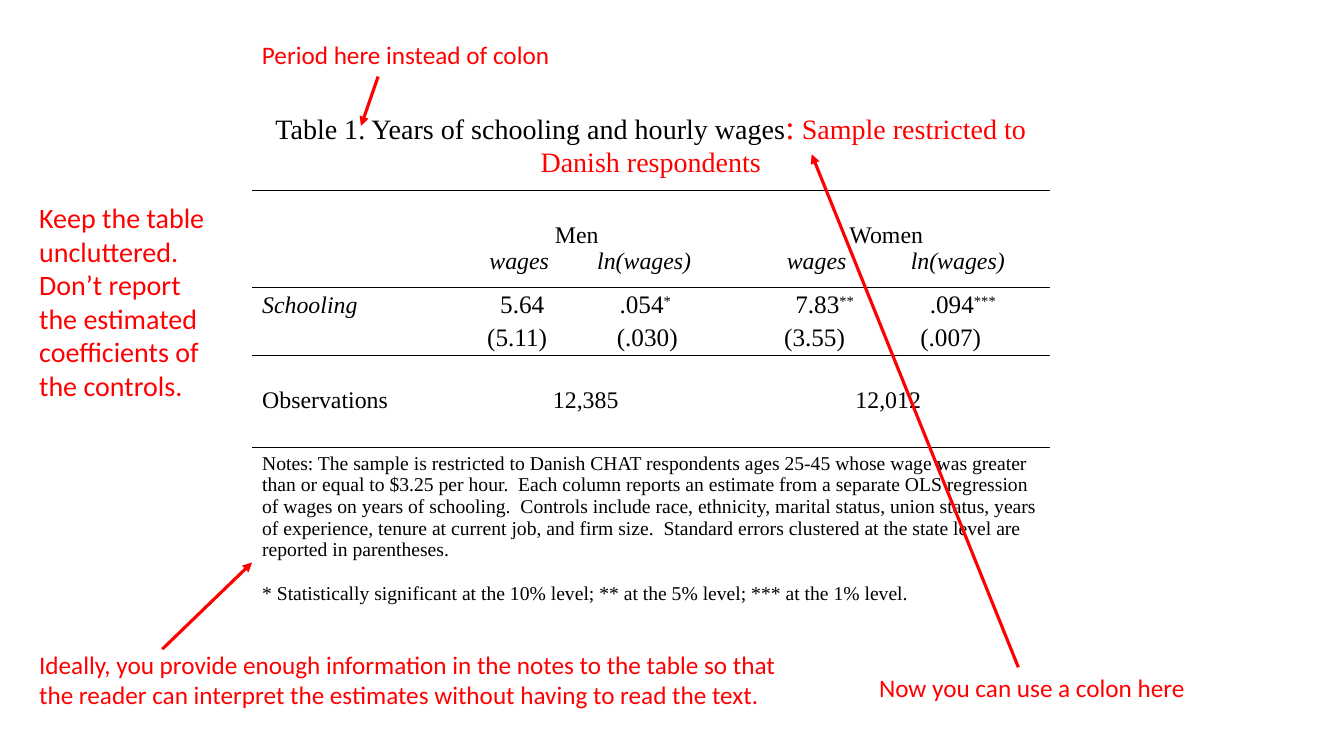
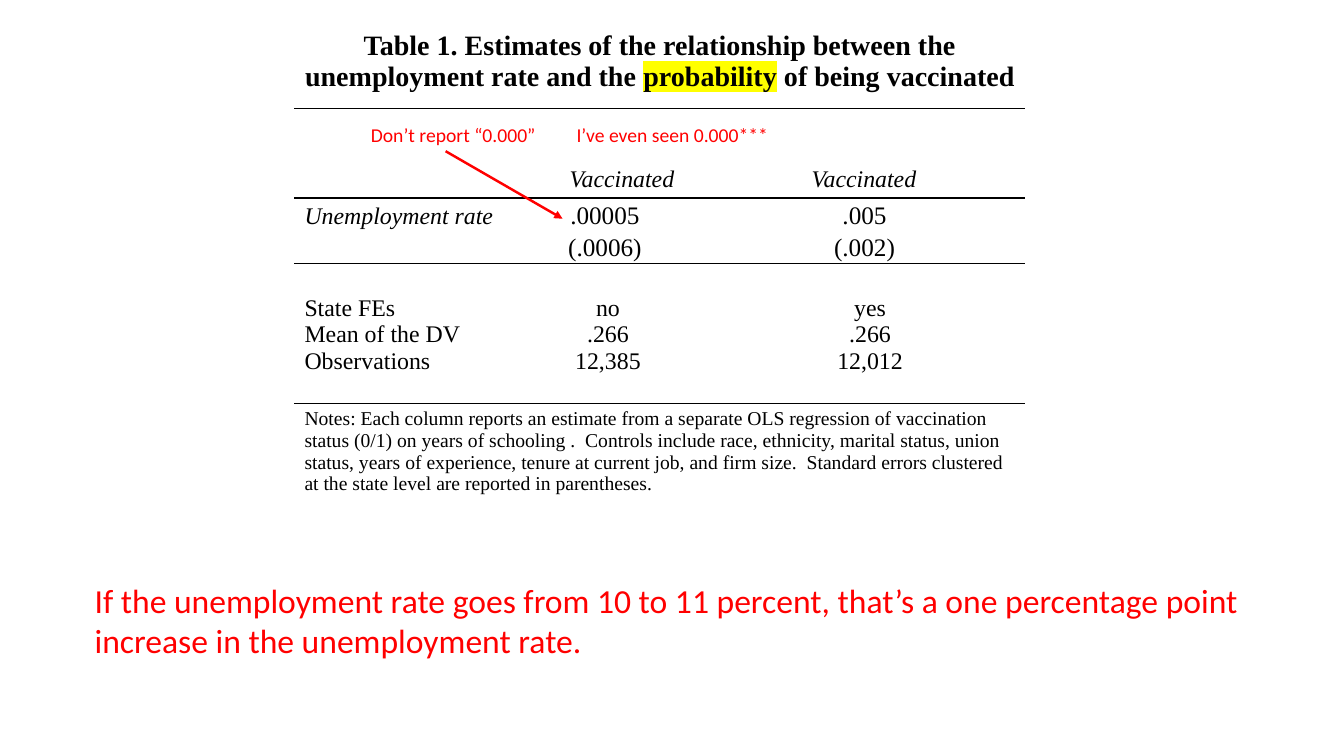
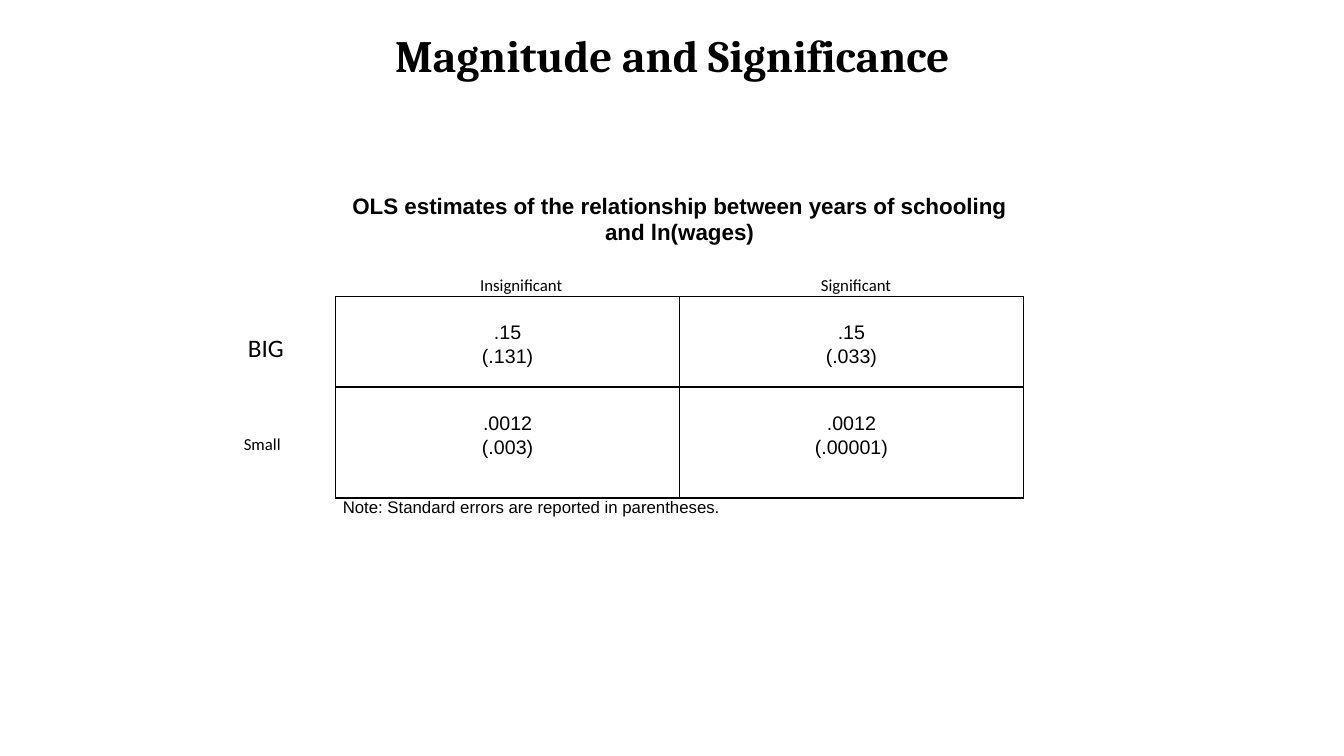
from lxml.etree import SubElement
from pptx import Presentation
from pptx.dml.color import RGBColor
from pptx.enum.shapes import MSO_CONNECTOR
from pptx.enum.text import PP_ALIGN
from pptx.oxml.ns import qn
from pptx.util import Emu, Pt

PX = 9144  # one hundred px to the inch
COLORS = {"ink": "000000", "remark": "FF0000", "paper": "FFFFFF", "marker": "FFFF00"}
ALIGN = {"left": PP_ALIGN.LEFT, "center": PP_ALIGN.CENTER, "justify": PP_ALIGN.JUSTIFY}
PLAIN_TABLE = "{2D5ABB26-0587-4C30-8999-92F81FD0307C}"
SERIF = {"font": "Times New Roman", "size": 17}
ITALIC = {"italic": True}
RAISED = {"raised": True}


def line_of(*spans, **layout):
    """One paragraph: spans are text or (text, style); layout is align, tabs, spacing, before."""
    return spans, layout


def cell_of(*lines, span=1, inset=(10, 5, 10, 5), **style):
    return {"lines": lines, "span": span, "inset": inset, "style": style}


class Deck:
    def __init__(self):
        self.deck = Presentation()
        self.deck.slide_width, self.deck.slide_height = Emu(1333 * PX), Emu(750 * PX)
        self.page = None

    def new_page(self):
        self.page = self.deck.slides.add_slide(self.deck.slide_layouts[6])

    # Text
    def add_span(self, para, text, font="Calibri", size=18, color="ink", bold=False,
                 italic=False, raised=False, marked=False):
        span = para.add_run()
        span.text = text
        span.font.name, span.font.size = font, Pt(size)
        span.font.bold, span.font.italic = bold, italic
        span.font.color.rgb = RGBColor.from_string(COLORS[color])
        props = span.font._element
        if raised:
            props.set("baseline", "30000")
        if marked:
            highlight = SubElement(props, qn("a:highlight"))
            SubElement(highlight, qn("a:srgbClr")).set("val", COLORS["marker"])
            props.find(qn("a:solidFill")).addnext(highlight)

    def fill_text(self, frame, lines, inset, style):
        frame.word_wrap = True
        frame.margin_left, frame.margin_top, frame.margin_right, frame.margin_bottom = (
            Emu(side * PX) for side in inset)
        for number, (spans, layout) in enumerate(lines):
            para = frame.add_paragraph() if number else frame.paragraphs[0]
            para.alignment = ALIGN[layout.get("align", "left")]
            para.line_spacing = layout.get("spacing", 1.0)
            para.space_before = Pt(layout.get("before", 0))
            if "tabs" in layout:
                stops = SubElement(para._p.get_or_add_pPr(), qn("a:tabLst"))
                for stop in layout["tabs"]:
                    tab = SubElement(stops, qn("a:tab"))
                    tab.set("pos", str(stop * PX))
                    tab.set("algn", "ctr")
            for span in spans:
                text, change = (span, {}) if isinstance(span, str) else span
                self.add_span(para, text, **{**style, **change})

    def text(self, left, top, width, height, *lines, **style):
        box = self.page.shapes.add_textbox(*(Emu(n * PX) for n in (left, top, width, height)))
        self.fill_text(box.text_frame, lines, (10, 5, 10, 5), style)

    def remark(self, left, top, width, height, words, size=18):
        self.text(left, top, width, height, line_of(words), size=size, color="remark")

    # Arrows
    def arrow(self, start, end, weight=2.25):
        arrow = self.page.shapes.add_connector(
            MSO_CONNECTOR.STRAIGHT, *(Emu(n * PX) for n in (*start, *end)))
        arrow.line.color.rgb = RGBColor.from_string(COLORS["remark"])
        arrow.line.width = Pt(weight)
        SubElement(arrow.line._get_or_add_ln(), qn("a:tailEnd")).set("type", "triangle")
        SubElement(arrow._element.spPr, qn("a:effectLst"))

    # Tables
    def border(self, cell, sides):
        props = cell._tc.get_or_add_tcPr()
        for place, side in enumerate(sides):
            edge = SubElement(props, qn("a:ln" + side))
            edge.set("w", str(Pt(1)))
            ink = SubElement(edge, qn("a:solidFill"))
            SubElement(ink, qn("a:srgbClr")).set("val", COLORS["ink"])
            props.insert(place, edge)

    def table(self, left, top, widths, heights, rows, rules, boxed=(), **style):
        """rules are the row boundaries that get a line; boxed rows get upright lines too."""
        frame = self.page.shapes.add_table(
            len(heights), len(widths),
            *(Emu(n * PX) for n in (left, top, sum(widths), sum(heights))))
        table = frame.table
        table.first_row = table.horz_banding = False
        table._tbl.tblPr.find(qn("a:tableStyleId")).text = PLAIN_TABLE
        for column, width in zip(table.columns, widths):
            column.width = Emu(width * PX)
        for number, (row, height, cells) in enumerate(zip(table.rows, heights, rows)):
            row.height = Emu(height * PX)
            sides = ["L", "R"] if number in boxed else []
            sides += ["T"] if number in rules else []
            sides += ["B"] if number + 1 in rules else []
            for cell in row.cells:
                cell.fill.solid()
                cell.fill.fore_color.rgb = RGBColor.from_string(COLORS["paper"])
                self.border(cell, sides)
                cell.text_frame.paragraphs[0]._p.get_or_add_endParaRPr().set("sz", "600")
            column = 0
            for content in cells:
                cell = table.cell(number, column)
                if content["span"] > 1:
                    cell.merge(table.cell(number, column + content["span"] - 1))
                self.fill_text(cell.text_frame, content["lines"], (0, 0, 0, 0),
                               {**style, **content["style"]})
                (cell.margin_left, cell.margin_top,
                 cell.margin_right, cell.margin_bottom) = (
                    Emu(side * PX) for side in content["inset"])
                column += content["span"]


def centered(*words, spacing=1.0):
    return [line_of(word, align="center", spacing=spacing) for word in words]


def wages_page(deck):
    deck.new_page()
    tight = (7, 0, 7, 0)
    title = line_of("Table 1. Years of schooling and hourly wages",
                    (":", {"size": 24, "color": "remark"}),
                    (" Sample restricted to Danish respondents", {"color": "remark"}),
                    align="center")
    rows = [
        [cell_of(title, span=3, size=20)],
        [cell_of(),
         cell_of(line_of("\tMen\tWomen", tabs=(104, 411)),
                 line_of(("\twages\tln(wages)\twages\tln(wages)", ITALIC),
                         tabs=(47, 171, 342, 482)),
                 span=2, inset=(10, 31, 10, 5))],
        [cell_of(line_of("Schooling"), italic=True),
         cell_of(line_of("\t5.64\t.054", ("*", RAISED), tabs=(53, 175), spacing=1.15),
                 line_of("\t(5.11)\t(.030)", tabs=(48, 177), spacing=1.15),
                 inset=tight, size=18),
         cell_of(line_of("\t7.83", ("**", RAISED), "\t.094", ("***", RAISED),
                         tabs=(126, 263), spacing=1.15),
                 line_of("\t(3.55)\t(.007)", tabs=(116, 251), spacing=1.15),
                 inset=tight, size=18)],
        [cell_of(line_of("Observations"), inset=(10, 31, 10, 5)),
         cell_of(*centered("12,385"), inset=(29, 31, 10, 5)),
         cell_of(*centered("12,012"), inset=(46, 31, 10, 5))],
        [cell_of(span=3)],
        [cell_of(line_of("Notes: The sample is restricted to Danish CHAT respondents ages 25-45 "
                         "whose wage was greater than or equal to $3.25 per hour.  Each column "
                         "reports an estimate from a separate OLS regression of wages on years "
                         "of schooling.  Controls include race, ethnicity, marital status, union "
                         "status, years of experience, tenure at current job, and firm size.  "
                         "Standard errors clustered at the state level are reported in "
                         "parentheses."),
                 line_of("* Statistically significant at the 10% level; ** at the 5% level; "
                         "*** at the 1% level.", before=16),
                 span=3, size=14)],
    ]
    deck.table(250, 104, (208, 227, 356), (85, 96, 68, 68, 23, 230), rows,
               rules=(1, 2, 5), **SERIF)

    # Remarks and their arrows
    deck.remark(250, 34, 812, 40, "Period here instead of colon")
    deck.arrow((375, 76), (358, 125))
    deck.remark(862, 662, 335, 40, "Now you can use a colon here")
    deck.arrow((1010, 662), (805, 153))
    deck.remark(29, 194, 200, 212, "Keep the table uncluttered.  Don’t report the estimated "
                "coefficients of the controls.", size=20)
    deck.remark(29, 639, 776, 71, "Ideally, you provide enough information in the notes to the "
                "table so that the reader can interpret the estimates without having to read "
                "the text.")
    deck.arrow((161, 644), (250, 558))


def vaccination_page(deck):
    deck.new_page()
    title = line_of("Table 1. Estimates of the relationship between the unemployment rate and the ",
                    ("probability", {"marked": True}), " of being vaccinated", align="center")
    rows = [
        [cell_of(title, span=3, size=20, bold=True)],
        [cell_of(),
         cell_of(line_of("\tVaccinated\tVaccinated", tabs=(98, 338)),
                 span=2, inset=(10, 57, 10, 5), italic=True)],
        [cell_of(line_of("Unemployment rate"), italic=True),
         cell_of(*centered(".00005", "(.0006)", spacing=1.15), inset=(7, 0, 7, 0), size=18),
         cell_of(*centered(".005", "(.002)", spacing=1.15), inset=(14, 0, 7, 0), size=18)],
        [cell_of(*map(line_of, ("State FEs", "Mean of the DV", "Observations")),
                 inset=(10, 31, 10, 5)),
         cell_of(*centered("no", ".266", "12,385"), inset=(16, 31, 10, 5)),
         cell_of(*centered("yes", ".266", "12,012"), inset=(28, 31, 10, 5))],
        [cell_of(span=3)],
        [cell_of(line_of("Notes: Each column reports an estimate from a separate OLS regression "
                         "of vaccination status (0/1) on years of schooling .  Controls include "
                         "race, ethnicity, marital status, union status, years of experience, "
                         "tenure at current job, and firm size.  Standard errors clustered at "
                         "the state level are reported in parentheses."),
                 span=3, size=14)],
    ]
    deck.table(292, 25, (217, 182, 326), (83, 88, 65, 117, 22, 89), rows,
               rules=(1, 2, 5), **SERIF)

    # Remarks and their arrow
    deck.remark(358, 117, 200, 34, "Don’t report “0.000”", size=14)
    deck.arrow((442, 150), (558, 217), weight=1.75)
    deck.remark(84, 570, 1217, 90, "If the unemployment rate goes from 10 to 11 percent, that’s "
                "a one percentage point increase in the unemployment rate.", size=24)
    deck.remark(562, 117, 261, 34, "I’ve even seen 0.000***", size=14)


def magnitude_page(deck):
    deck.new_page()
    estimates = [[(".15", "(.131)"), (".15", "(.033)")],
                 [(".0012", "(.003)"), (".0012", "(.00001)")]]
    heading = cell_of(
        line_of(("OLS estimates of the relationship between years of schooling and ln(wages)",
                 {"size": 16, "bold": True}), align="center", spacing=1.07),
        line_of(("\tInsignificant\tSignificant", {"font": "Calibri", "size": 12}),
                tabs=(177, 509), spacing=1.07, before=20),
        span=2, inset=(7, 0, 7, 0))
    note = cell_of(line_of("Note: Standard errors are reported in parentheses.", align="justify"),
                   span=2, inset=(7, 0, 7, 0), size=12)
    grid = [[cell_of(*centered(*pair, spacing=1.07), inset=(7, 24, 7, 0)) for pair in row]
            for row in estimates]
    deck.table(333, 191, (341, 341), (103, 90, 110, 39), [[heading], *grid, [note]],
               rules=(1, 2, 3), boxed=(1, 2), font="Arial", size=14)

    # Row labels and page title
    deck.text(236, 325, 60, 40, line_of("BIG"))
    deck.text(232, 425, 70, 30, line_of("Small"), size=12)
    deck.text(367, 33, 600, 54,
              line_of("Magnitude and Significance", align="center", spacing=0.8, before=6.4),
              font="Cambria", size=32, bold=True)


def main():
    deck = Deck()
    wages_page(deck)
    vaccination_page(deck)
    magnitude_page(deck)
    deck.deck.save("out.pptx")


if __name__ == "__main__":
    main()
